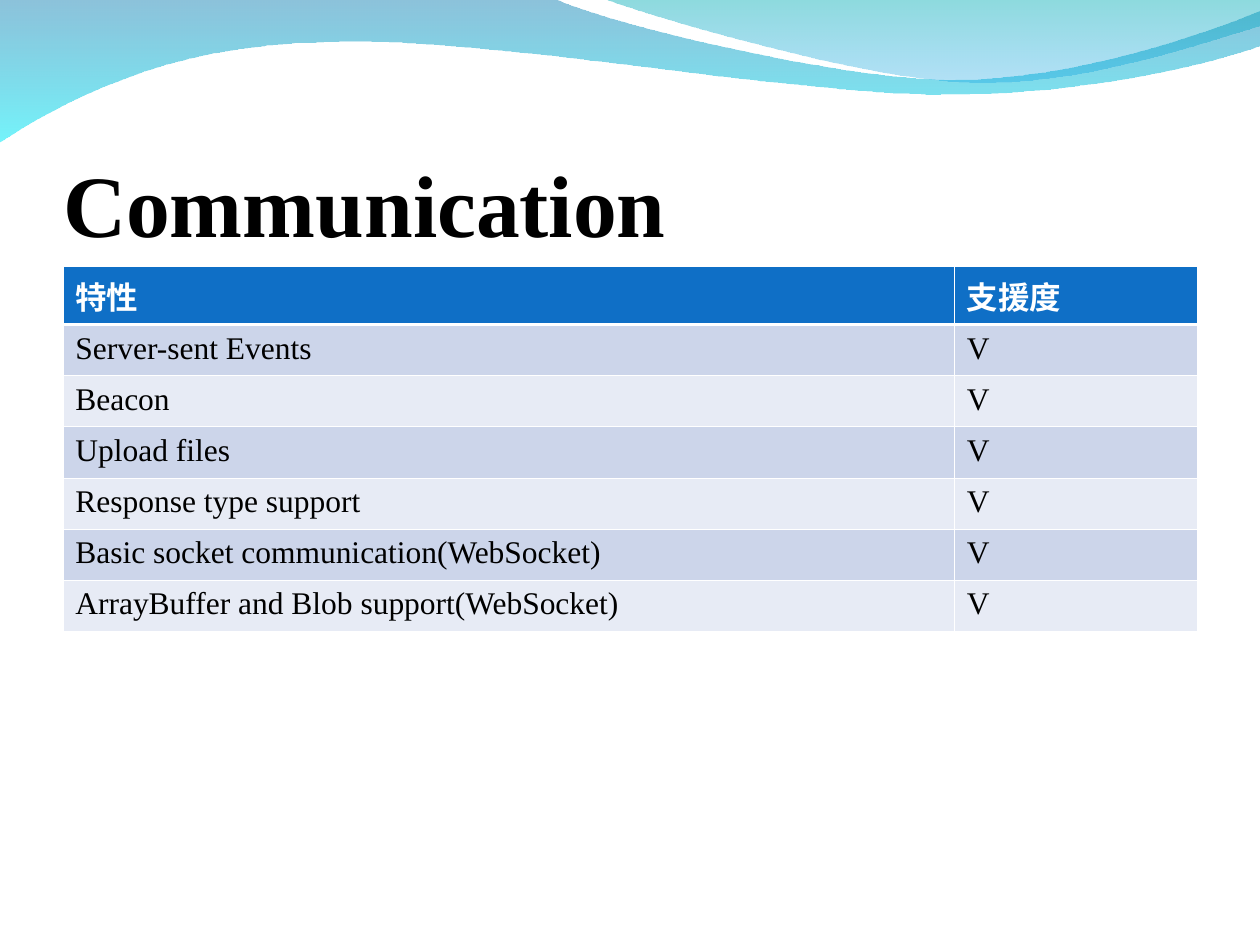
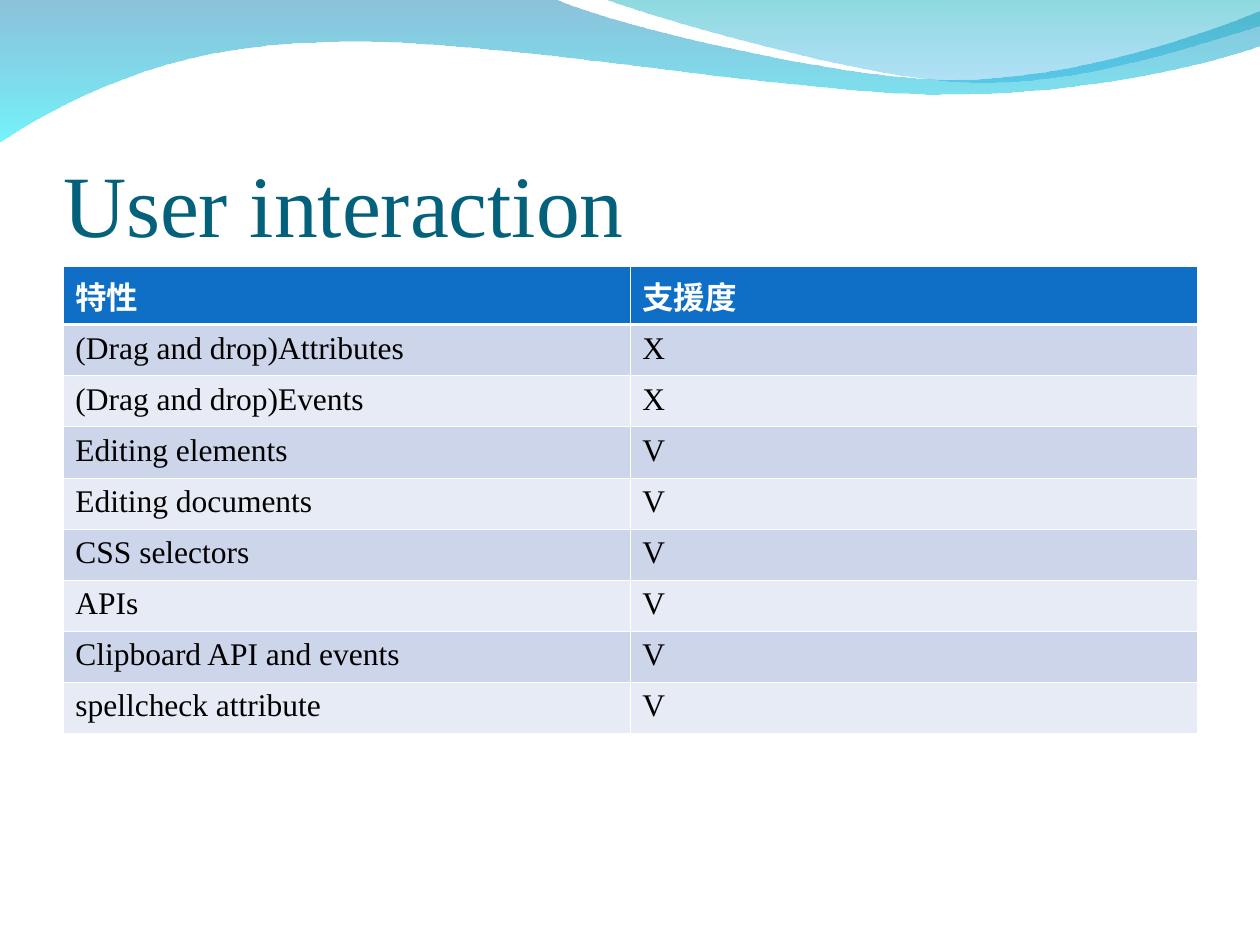
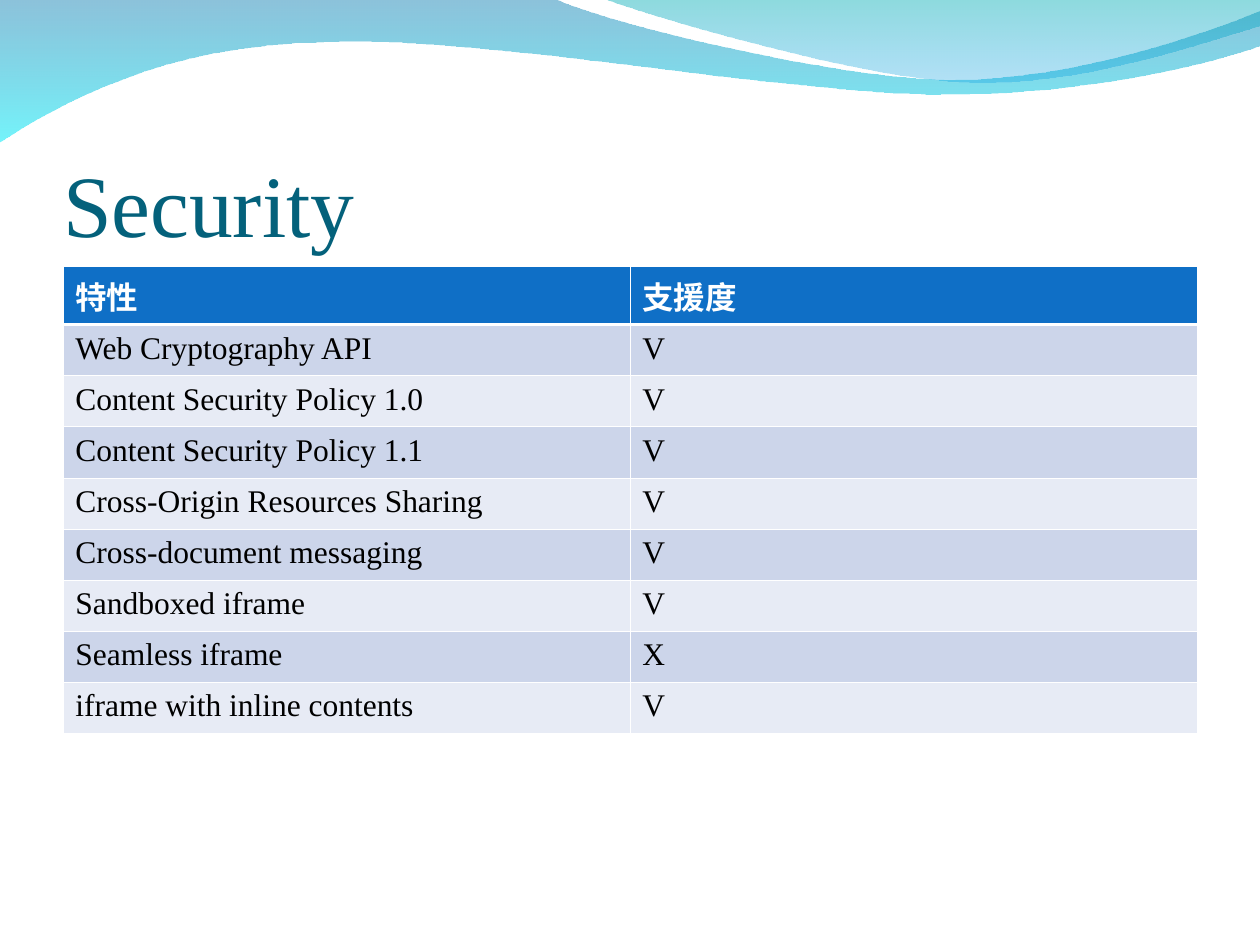
from lxml import etree
from pptx import Presentation
from pptx import util as u
from pptx.dml.color import RGBColor
from pptx.enum import text
from pptx.oxml.ns import qn

# Shared style
BLACK, WHITE, TEAL, BLUE = "000000", "FFFFFF", "04617B", "0F6FC6"
BANDS = ("CCD5EA", "E7EBF5")
SERIF, HAN = "Times New Roman", "Noto Sans CJK SC"
LEFT, WIDTH, ROW = 1.27, 22.86, 1.03
THIN, THICK = 0.45, 1.47

# Waves in cm: one point is a line, three points are a curve
BROAD = [
    [(0, -0.02)],
    [(11.18, -0.02)],
    [(12.09, 0.43), (16.87, 1.6), (19.25, 1.6)],
    [(21.67, 1.6), (24.33, 0.66), (25.4, 0.23)],
    [(25.43, 0.91)],
    [(24.97, 1.12), (22.1, 1.93), (18.95, 1.9)],
    [(15.8, 1.9), (9.7, 0.71), (6.53, 0.86)],
    [(3.28, 0.89), (1.17, 2.11), (-0.03, 2.87)],
]
SLIM = [
    [(12.17, -0.02)],
    [(12.93, 0.28), (17.32, 1.57), (19.53, 1.65)],
    [(21.74, 1.75), (24.41, 0.81), (25.4, 0.53)],
    [(25.4, 0)],
]
HEAD = ("特性", "支援度")


def color(code):
    return RGBColor.from_string(code)


def bend(shape, parts):
    """Join each run of three line points into one Bezier curve."""
    lines = iter(list(shape._element.iter(qn("a:lnTo"))))
    for part in parts[1:]:
        group = [next(lines) for _ in part]
        if len(group) == 3:
            curve = etree.Element(qn("a:cubicBezTo"))
            group[0].addprevious(curve)
            for line in group:
                curve.append(line[0])
                line.getparent().remove(line)


class Deck:
    def __init__(self):
        self.prs = Presentation()
        self.prs.slide_width, self.prs.slide_height = u.Cm(25.4), u.Cm(19.05)
        self.layout = self.prs.slide_layouts[5]
        self.slide = None

    def page(self):
        self.slide = self.prs.slides.add_slide(self.layout)

    def wave(self, parts, stops, depth):
        """Draw a gradient wave and hand it to the layout all slides use."""
        points = [(u.Cm(x), u.Cm(y)) for part in parts for x, y in part]
        pen = self.slide.shapes.build_freeform(*points[0])
        pen.add_line_segments(points[1:], close=True)
        shape = pen.convert_to_shape()
        bend(shape, parts)
        shape.shadow.inherit = False
        shape.line.fill.background()
        shape.fill.gradient()
        shape.fill.gradient_angle = 270
        for stop, (code, _) in zip(shape.fill.gradient_stops, stops):
            stop.color.rgb = color(code)
        for node, (_, solid) in zip(shape._element.iter(qn("a:srgbClr")), stops):
            etree.SubElement(node, qn("a:alpha")).set("val", str(solid * 1000))
        self.layout.shapes._spTree.insert(depth, shape._element)

    def font(self, para, face, size, code, bold=False):
        font = para.font
        font.name, font.size, font.bold = face, u.Pt(size), bold
        font.color.rgb = color(code)
        latin = font._element.find(qn("a:latin"))
        latin.addnext(etree.Element(qn("a:ea"), typeface=face))

    def title(self, words, code=TEAL, bold=False):
        shape = self.slide.shapes.title
        shape.left, shape.top = u.Cm(LEFT), u.Cm(1.98)
        shape.width, shape.height = u.Cm(WIDTH), u.Cm(3.17)
        frame = shape.text_frame
        frame.text = words
        frame.word_wrap = True
        frame.auto_size = text.MSO_AUTO_SIZE.NONE
        frame.vertical_anchor = text.MSO_ANCHOR.BOTTOM
        frame.margin_left = frame.margin_right = frame.margin_bottom = 0
        frame.margin_top = u.Cm(0.13)
        para = frame.paragraphs[0]
        para.alignment = text.PP_ALIGN.LEFT
        self.font(para, SERIF, 50, code, bold)

    def edges(self, cell, top, bottom):
        props = cell._tc.get_or_add_tcPr()
        sides = (("L", THIN), ("R", THIN), ("T", top), ("B", bottom))
        for spot, (side, width) in enumerate(sides):
            line = etree.Element(qn("a:ln" + side), w=str(u.Pt(width)))
            fill = etree.SubElement(line, qn("a:solidFill"))
            etree.SubElement(fill, qn("a:srgbClr")).set("val", WHITE)
            props.insert(spot, line)

    def table(self, rows, wide):
        rows = [HEAD, *rows]
        grid = self.slide.shapes.add_table(
            len(rows), 2, u.Cm(LEFT), u.Cm(5.37),
            u.Cm(WIDTH), u.Cm(ROW * len(rows))).table
        for col, width in zip(grid.columns, (wide, WIDTH - wide)):
            col.width = u.Cm(width)
        for r, row in enumerate(rows):
            grid.rows[r].height = u.Cm(ROW)
            for c, words in enumerate(row):
                cell = grid.cell(r, c)
                cell.text = words
                cell.margin_left = u.Cm(0.25)
                cell.fill.solid()
                cell.fill.fore_color.rgb = color(BANDS[(r - 1) % 2] if r else BLUE)
                self.edges(cell, THICK if r == 1 else THIN, THIN if r else THICK)
                look = (SERIF, 18, BLACK) if r else (HAN, 18, WHITE, True)
                self.font(cell.text_frame.paragraphs[0], *look)


def main():
    deck = Deck()

    # Communication, with the waves for every slide
    deck.page()
    deck.wave(BROAD, (("0079AF", 45), ("00EBF8", 55)), 2)
    deck.wave(SLIM, (("00ADB6", 45), ("009BE5", 30)), 3)
    deck.title("Communication", BLACK, True)
    deck.table([
        ("Server-sent Events", "V"),
        ("Beacon", "V"),
        ("Upload files", "V"),
        ("Response type support", "V"),
        ("Basic socket communication(WebSocket)", "V"),
        ("ArrayBuffer and Blob support(WebSocket)", "V"),
    ], 17.97)

    # User interaction
    deck.page()
    deck.title("User interaction")
    deck.table([
        ("(Drag and drop)Attributes", "X"),
        ("(Drag and drop)Events", "X"),
        ("Editing elements", "V"),
        ("Editing documents", "V"),
        ("CSS selectors", "V"),
        ("APIs", "V"),
        ("Clipboard API and events", "V"),
        ("spellcheck attribute", "V"),
    ], WIDTH / 2)

    # Security
    deck.page()
    deck.title("Security")
    deck.table([
        ("Web Cryptography API", "V"),
        ("Content Security Policy 1.0", "V"),
        ("Content Security Policy 1.1", "V"),
        ("Cross-Origin Resources Sharing", "V"),
        ("Cross-document messaging", "V"),
        ("Sandboxed iframe", "V"),
        ("Seamless iframe", "X"),
        ("iframe with inline contents", "V"),
    ], WIDTH / 2)

    deck.prs.save("out.pptx")


if __name__ == "__main__":
    main()
